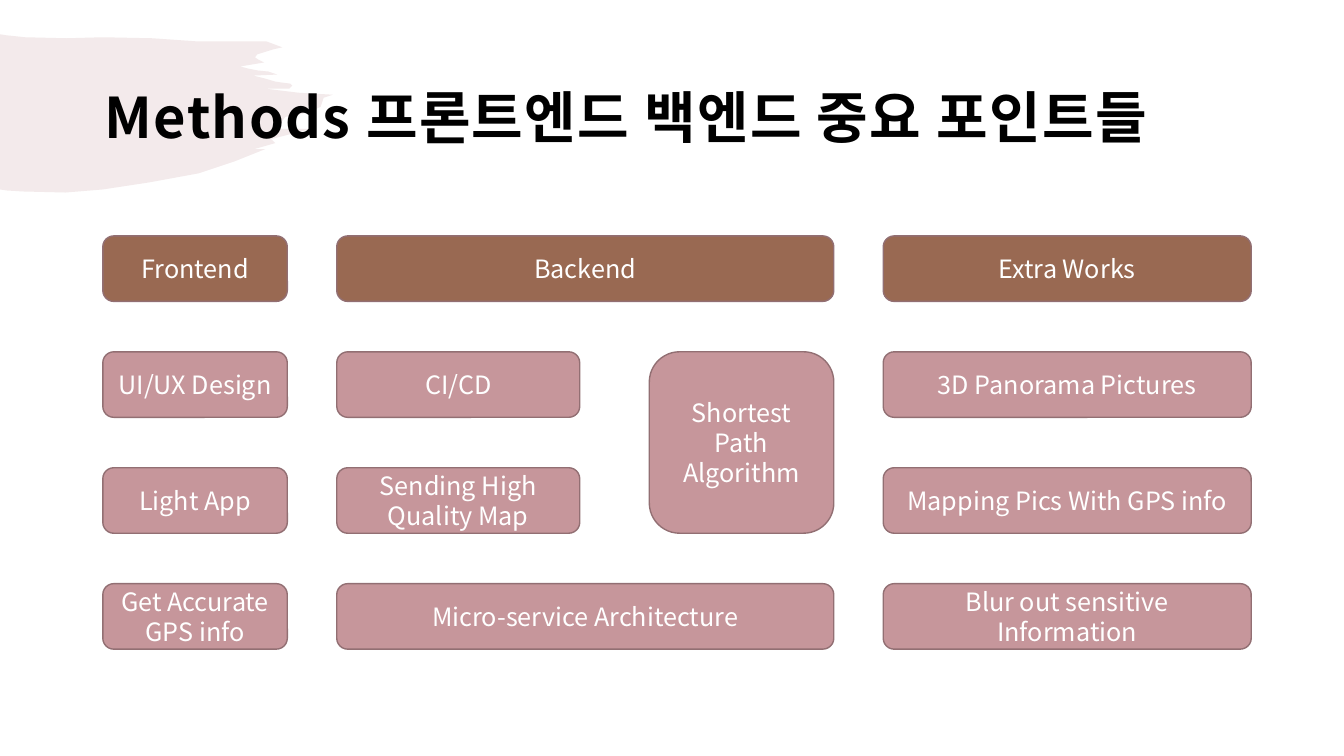
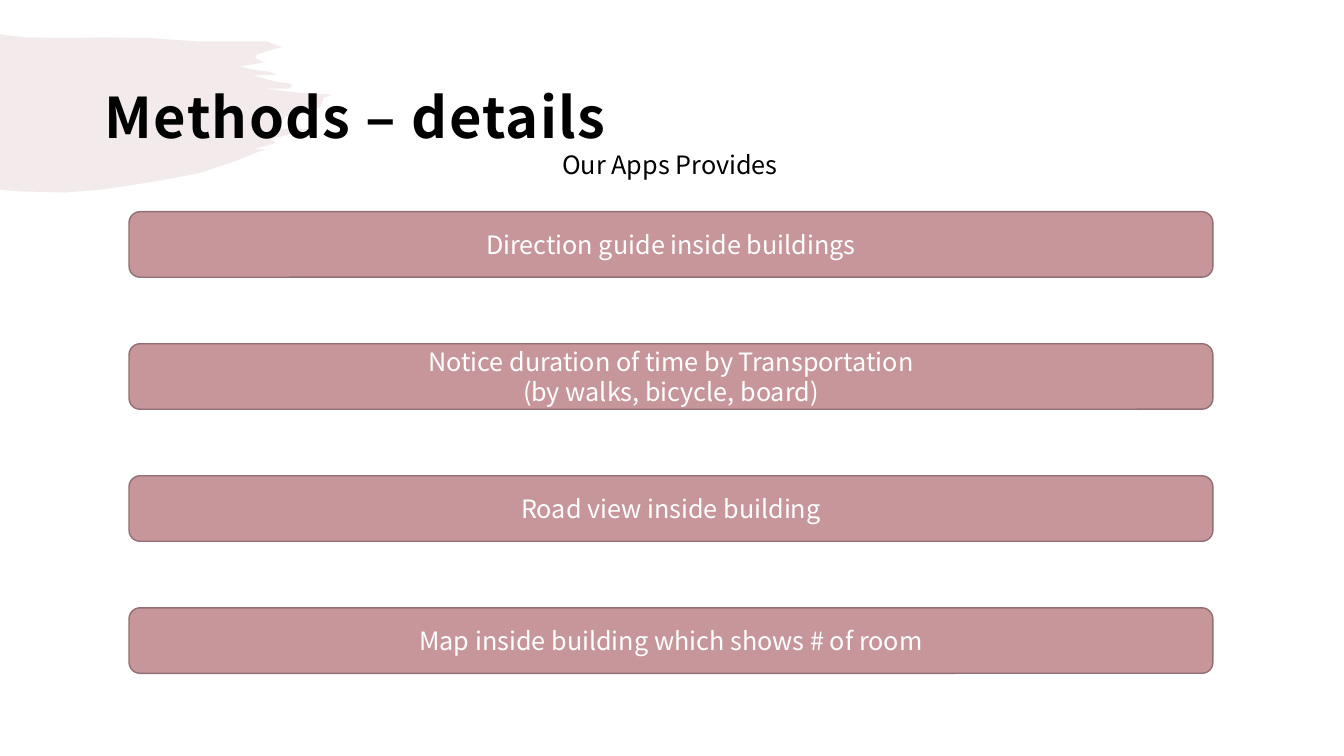
from lxml import etree
from pptx import Presentation
from pptx.dml.color import RGBColor
from pptx.enum.shapes import MSO_SHAPE
from pptx.enum.text import MSO_ANCHOR, PP_ALIGN
from pptx.oxml.ns import qn
from pptx.util import Inches, Pt

CARD_SHAPE = MSO_SHAPE.FLOWCHART_ALTERNATE_PROCESS
MIDDLE, TOP = MSO_ANCHOR.MIDDLE, MSO_ANCHOR.TOP
LEFT, CENTER = PP_ALIGN.LEFT, PP_ALIGN.CENTER

SLIDE_SIZE = (13.33, 7.5)
FONT = "Noto Sans CJK KR"
ROSE, BROWN, EDGE = "C6969B", "996952", "926F73"
WHITE, BLACK = "FFFFFF", "000000"

TITLE_BOX = (0.92, 0.4, 11.5, 1.45)
SUBTITLE_BOX = (4.74, 1.43, 3.81, 0.4)
METHODS_BOX = (1.02, 2.34, 11.39, 4.1)
DETAILS_BOX = (1.28, 2.1, 10.75, 4.58)
CARD_HEIGHT = 0.65

BRUSH_UNIT = Inches(0.01)
BRUSH_OUTLINE = [
    (0, 34), (6, 35), (25, 37), (66, 38), (102, 37), (151, 38), (194, 41),
    (248, 41), (264, 41), (280, 47), (271, 49), (255, 54), (253, 57),
    (256, 59), (262, 62), (238, 66), (246, 68), (256, 70), (266, 71),
    (275, 74), (251, 75), (263, 78), (273, 81), (280, 82), (288, 83),
    (290, 85), (287, 88), (284, 88), (263, 88), (296, 92), (330, 94),
    (321, 97), (318, 106), (307, 111), (300, 113), (283, 116), (280, 120),
    (278, 125), (274, 128), (308, 128), (269, 138), (273, 142), (252, 148),
    (263, 148), (233, 160), (197, 172), (148, 181), (102, 188), (65, 191),
    (23, 190), (7, 189), (0, 188),
]

COLUMNS = [(0, 1.83), (2.32, 2.41), (5.42, 1.83), (7.74, 3.65)]
METHOD_CARDS = [
    ("Frontend", BROWN, 0, 0, 0, 0),
    ("Backend", BROWN, 1, 2, 0, 0),
    ("Extra Works", BROWN, 3, 3, 0, 0),
    ("UI/UX Design", ROSE, 0, 0, 1, 1),
    ("Light App", ROSE, 0, 0, 2, 2),
    ("Get Accurate\nGPS info", ROSE, 0, 0, 3, 3),
    ("CI/CD", ROSE, 1, 1, 1, 1),
    ("Sending High Quality Map", ROSE, 1, 1, 2, 2),
    ("Shortest Path\nAlgorithm", ROSE, 2, 2, 1, 2),
    ("Micro-service Architecture", ROSE, 1, 2, 3, 3),
    ("3D Panorama Pictures", ROSE, 3, 3, 1, 1),
    ("Mapping Pics With GPS info", ROSE, 3, 3, 2, 2),
    ("Blur out sensitive Information", ROSE, 3, 3, 3, 3),
]
DETAILS = [
    "Direction guide inside buildings",
    "Notice duration of time by Transportation\n(by walks, bicycle, board)",
    "Road view inside building",
    "Map inside building which shows # of room",
]


def paint(target, color):
    """Give a fill a solid colour from a hex string."""
    target.solid()
    target.fore_color.rgb = RGBColor.from_string(color)


def write(shape, text, color, size=18, align=CENTER, anchor=MIDDLE, bold=False):
    """Write text into a shape run by run and return its frame and runs."""
    frame = shape.text_frame
    frame.word_wrap = True
    frame.vertical_anchor = anchor
    para = frame.paragraphs[0]
    para.alignment = align
    for index, line in enumerate(text.split("\n")):
        if index:
            para.add_line_break()
        span = para.add_run()
        span.text = line
        span.font.name = FONT
        span.font.size = Pt(size)
        span.font.bold = bold
        paint(span.font.fill, color)
        east_asian = etree.SubElement(span.font._element, qn("a:ea"))
        east_asian.set("typeface", FONT)
    return frame, para.runs


def add_text(page, box, text, **style):
    """Add a black text box."""
    holder = page.shapes.add_textbox(*map(Inches, box))
    return write(holder, text, BLACK, **style)


def add_card(page, box, text, color=ROSE):
    """Add a rounded card with centred white text."""
    card = page.shapes.add_shape(CARD_SHAPE, *map(Inches, box))
    card.shadow.inherit = False
    paint(card.fill, color)
    paint(card.line.fill, EDGE)
    card.line.width = Pt(1)
    write(card, text, WHITE)


def add_brush(page):
    """Draw the pale brush stroke at the left edge."""
    builder = page.shapes.build_freeform(*BRUSH_OUTLINE[0], scale=BRUSH_UNIT)
    builder.add_line_segments(BRUSH_OUTLINE[1:], close=True)
    brush = builder.convert_to_shape()
    brush.shadow.inherit = False
    paint(brush.fill, ROSE)
    brush.line.fill.background()
    tint = brush._element.spPr.find(qn("a:solidFill"))[0]
    etree.SubElement(tint, qn("a:alpha")).set("val", "20000")


def add_page(deck, title):
    """Add a slide with the shared brush stroke and title."""
    page = deck.slides.add_slide(deck.slide_layouts[6])
    add_brush(page)
    frame, spans = add_text(page, TITLE_BOX, title, size=40, align=LEFT, bold=True)
    frame.margin_left = frame.margin_right = frame.margin_top = Inches(0.12)
    frame.margin_bottom = Inches(0.1)
    frame.paragraphs[0].line_spacing = 1.05
    for span in spans:
        span.font._element.set("spc", "100")
    return page


def add_method_grid(page, box):
    """Place the method cards on a grid of four columns and four rows."""
    left, top, _, height = box
    step = (height - CARD_HEIGHT) / 3
    for text, color, first, last, start, end in METHOD_CARDS:
        offset = COLUMNS[first][0]
        width = sum(COLUMNS[last]) - offset
        card_box = (left + offset, top + start * step, width,
                    (end - start) * step + CARD_HEIGHT)
        add_card(page, card_box, text, color)


def add_detail_stack(page, box):
    """Stack the detail cards at equal steps."""
    left, top, width, height = box
    step = (height - CARD_HEIGHT) / (len(DETAILS) - 1)
    for index, text in enumerate(DETAILS):
        add_card(page, (left, top + index * step, width, CARD_HEIGHT), text)


def main():
    """Build and save the deck."""
    deck = Presentation()
    deck.slide_width, deck.slide_height = map(Inches, SLIDE_SIZE)
    methods = add_page(deck, "Methods 프론트엔드 백엔드 중요 포인트들")
    add_method_grid(methods, METHODS_BOX)
    details = add_page(deck, "Methods – details")
    add_text(details, SUBTITLE_BOX, "Our Apps Provides", anchor=TOP)
    add_detail_stack(details, DETAILS_BOX)
    deck.save("out.pptx")


if __name__ == "__main__":
    main()
